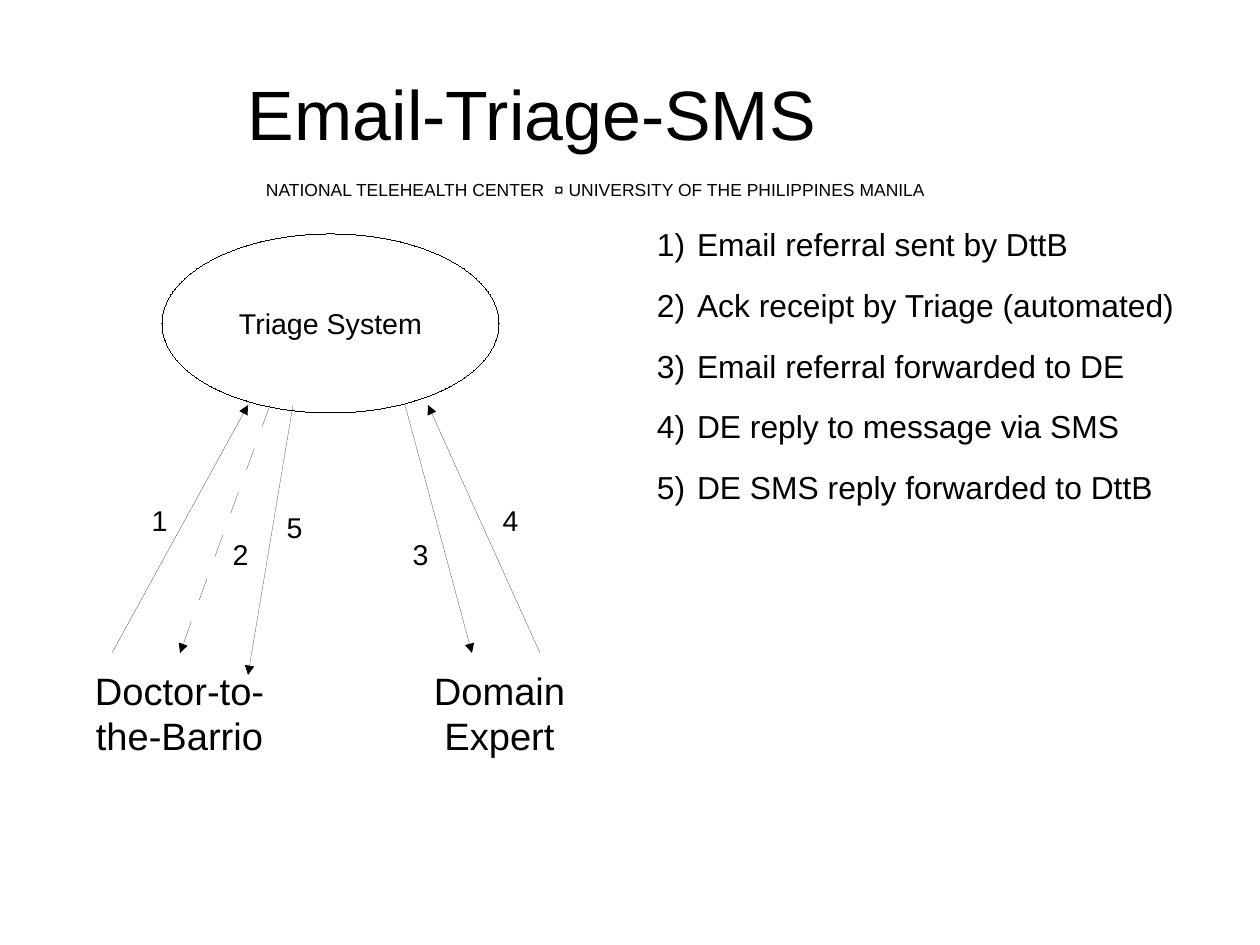
from pptx import Presentation
from pptx.dml.color import RGBColor
from pptx.enum.shapes import MSO_CONNECTOR, MSO_SHAPE
from pptx.enum.text import MSO_ANCHOR, MSO_AUTO_SIZE, PP_ALIGN
from pptx.oxml.ns import qn
from pptx.util import Pt
from lxml.etree import SubElement

PX = 8000  # EMU in one px
COLOR = {"ink": "000000", "page": "FFFFFF"}
INK = RGBColor.from_string(COLOR["ink"])

deck = Presentation()
deck.slide_width, deck.slide_height = 1260 * PX, 945 * PX
slide = deck.slides.add_slide(deck.slide_layouts[6])
slide.background.fill.solid()
slide.background.fill.fore_color.rgb = RGBColor.from_string(COLOR["page"])


def write(text, box=None, size=18, align=PP_ALIGN.CENTER, anchor=MSO_ANCHOR.TOP,
          pad=(11, 6), wrap=True, grow=True, shape=None):
    if shape is None:
        shape = slide.shapes.add_textbox(*[n * PX for n in box])
    frame = shape.text_frame
    frame.word_wrap = wrap
    if grow:
        frame.auto_size = MSO_AUTO_SIZE.SHAPE_TO_FIT_TEXT
    frame.vertical_anchor = anchor
    frame.margin_left = frame.margin_right = pad[0] * PX
    frame.margin_top = frame.margin_bottom = pad[1] * PX
    frame.text = text
    for para in frame.paragraphs:
        para.alignment = align
        font = para.runs[0].font
        font.name, font.size = "Arial", Pt(size)
        font.color.rgb = INK
    return frame


def thin(shape):
    shape.line.color.rgb = INK
    line = shape.line._get_or_add_ln()
    line.set("w", "0")
    return line


# Heading
write("NATIONAL TELEHEALTH CENTER  ¤ UNIVERSITY OF THE PHILIPPINES MANILA",
      (255, 173, 682, 31), size=11, align=PP_ALIGN.LEFT, wrap=False)
write("Email-Triage-SMS", (248, 45, 950, 135), size=44, align=PP_ALIGN.LEFT,
      anchor=MSO_ANCHOR.MIDDLE, pad=(0, 0), grow=False)

# Triage system and the two parties
hub = slide.shapes.add_shape(MSO_SHAPE.OVAL, *[n * PX for n in (162, 234, 337, 179)])
hub.shadow.inherit = False
hub.fill.background()
thin(hub)
write("Triage System", anchor=MSO_ANCHOR.MIDDLE, grow=False, shape=hub)
for name, left in (("Doctor-to-the-Barrio", 67), ("Domain Expert", 387)):
    write(name, (left, 661, 225, 96), size=24)

# Numbered message arrows: start, end, label corner, dashed
flows = [
    ((112, 653), (248, 405), (126, 497), False),
    ((270, 405), (180, 653), (207, 531), True),
    ((405, 405), (472, 653), (387, 531), False),
    ((540, 653), (428, 405), (477, 497), False),
    ((293, 405), (248, 675), (261, 504), False),
]
for step, (start, end, spot, dashed) in enumerate(flows, 1):
    arrow = slide.shapes.add_connector(
        MSO_CONNECTOR.STRAIGHT, *[n * PX for n in start + end])
    line = thin(arrow)
    if dashed:
        dash = SubElement(line, qn("a:custDash"))
        SubElement(dash, qn("a:ds"), d="1900000", sp="1900000")
    SubElement(line, qn("a:tailEnd"), type="triangle")
    SubElement(arrow._element.spPr, qn("a:effectLst"))
    write(str(step), (*spot, 67, 43))

# Step list
steps = [
    "Email referral sent by DttB",
    "Ack receipt by Triage (automated)",
    "Email referral forwarded to DE",
    "DE reply to message via SMS",
    "DE SMS reply forwarded to DttB",
]
frame = write("\n".join(steps), (643, 225, 553, 608), size=20,
              align=PP_ALIGN.LEFT, pad=(0, 0), grow=False)
for para in frame.paragraphs:
    para.space_after = Pt(14.2)
    props = para._p.get_or_add_pPr()
    props.set("marL", str(54 * PX))
    props.set("indent", str(-40 * PX))
    SubElement(props, qn("a:buFont"), typeface="Arial")
    SubElement(props, qn("a:buAutoNum"), type="arabicParenR")

deck.save("out.pptx")
